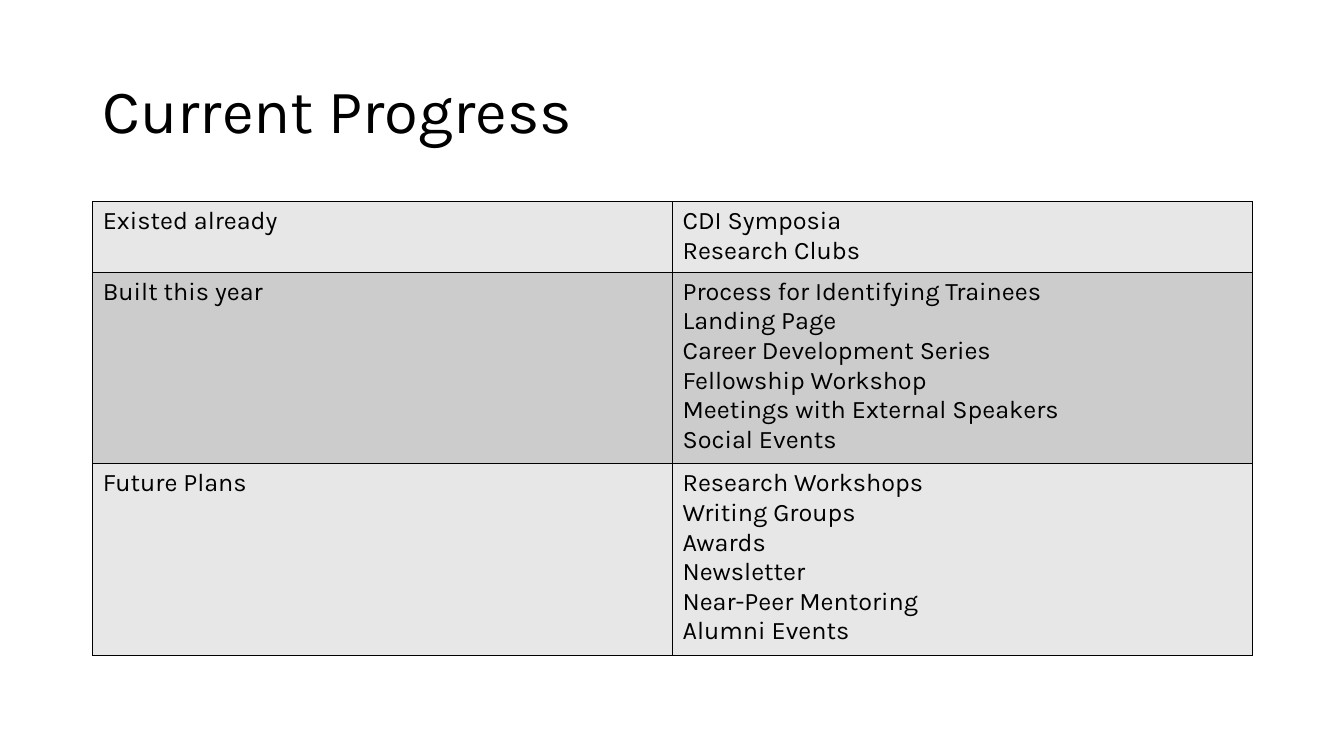
from dataclasses import dataclass

from lxml import etree
from pptx import Presentation
from pptx.dml.color import RGBColor
from pptx.enum.text import MSO_ANCHOR
from pptx.oxml.ns import qn
from pptx.slide import Slide
from pptx.table import _Cell
from pptx.text.text import TextFrame
from pptx.util import Inches, Pt

MIDDLE = MSO_ANCHOR.MIDDLE
BLANK_LAYOUT = 6


@dataclass(frozen=True)
class Theme:
    font: str = "Karla"
    ink: str = "000000"
    light_band: str = "E7E7E7"
    dark_band: str = "CCCCCC"
    title_size: int = 44
    body_size: int = 18
    border_width: int = 1


@dataclass(frozen=True)
class Stage:
    name: str
    activities: tuple[str, ...]
    fill: str


THEME = Theme()
LEFT, WIDTH = 0.92, 11.5
LINE_HEIGHT, CELL_PADDING = 0.29, 0.1

STAGES = (
    Stage("Existed already", ("CDI Symposia", "Research Clubs"), THEME.light_band),
    Stage(
        "Built this year",
        (
            "Process for Identifying Trainees",
            "Landing Page",
            "Career Development Series",
            "Fellowship Workshop",
            "Meetings with External Speakers",
            "Social Events",
        ),
        THEME.dark_band,
    ),
    Stage(
        "Future Plans",
        (
            "Research Workshops",
            "Writing Groups",
            "Awards",
            "Newsletter",
            "Near-Peer Mentoring",
            "Alumni Events",
        ),
        THEME.light_band,
    ),
)


def write_lines(frame: TextFrame, *lines: str, size: int = THEME.body_size,
                color: str = THEME.ink, spacing: float = 1.0) -> None:
    """Write each line as its own paragraph."""
    for index, line in enumerate(lines):
        paragraph = frame.add_paragraph() if index else frame.paragraphs[0]
        paragraph.line_spacing = spacing
        run = paragraph.add_run()
        run.text = line
        run.font.name = THEME.font
        run.font.size = Pt(size)
        run.font.color.rgb = RGBColor.from_string(color)


def style_cell(cell: _Cell, fill: str) -> None:
    """Give a cell its borders and then its fill, in schema order."""
    properties = cell._tc.get_or_add_tcPr()
    for side in ("a:lnL", "a:lnR", "a:lnT", "a:lnB"):
        border = etree.SubElement(properties, qn(side), w=str(Pt(THEME.border_width)))
        solid = etree.SubElement(border, qn("a:solidFill"))
        etree.SubElement(solid, qn("a:srgbClr"), val=THEME.ink)
    cell.fill.solid()
    cell.fill.fore_color.rgb = RGBColor.from_string(fill)


def add_heading(slide: Slide, text: str) -> None:
    heading = slide.shapes.add_textbox(
        Inches(LEFT), Inches(0.4), Inches(WIDTH), Inches(1.45))
    frame = heading.text_frame
    frame.word_wrap = True
    frame.vertical_anchor = MIDDLE
    write_lines(frame, text, size=THEME.title_size, spacing=0.9)


def add_progress_table(slide: Slide, stages: tuple[Stage, ...]) -> None:
    heights = [CELL_PADDING + LINE_HEIGHT * len(stage.activities) for stage in stages]
    progress = slide.shapes.add_table(
        len(stages), 2, Inches(LEFT), Inches(2),
        Inches(WIDTH), Inches(sum(heights))).table
    progress.first_row = False
    progress.horz_banding = False
    for row, stage, height in zip(progress.rows, stages, heights):
        row.height = Inches(height)
        for cell, lines in zip(row.cells, ((stage.name,), stage.activities)):
            style_cell(cell, stage.fill)
            write_lines(cell.text_frame, *lines)


def main() -> None:
    deck = Presentation()
    deck.slide_width, deck.slide_height = Inches(13.33), Inches(7.5)
    slide = deck.slides.add_slide(deck.slide_layouts[BLANK_LAYOUT])

    # Heading
    add_heading(slide, "Current Progress")

    # Stages and their activities
    add_progress_table(slide, STAGES)

    deck.save("out.pptx")


if __name__ == "__main__":
    main()
